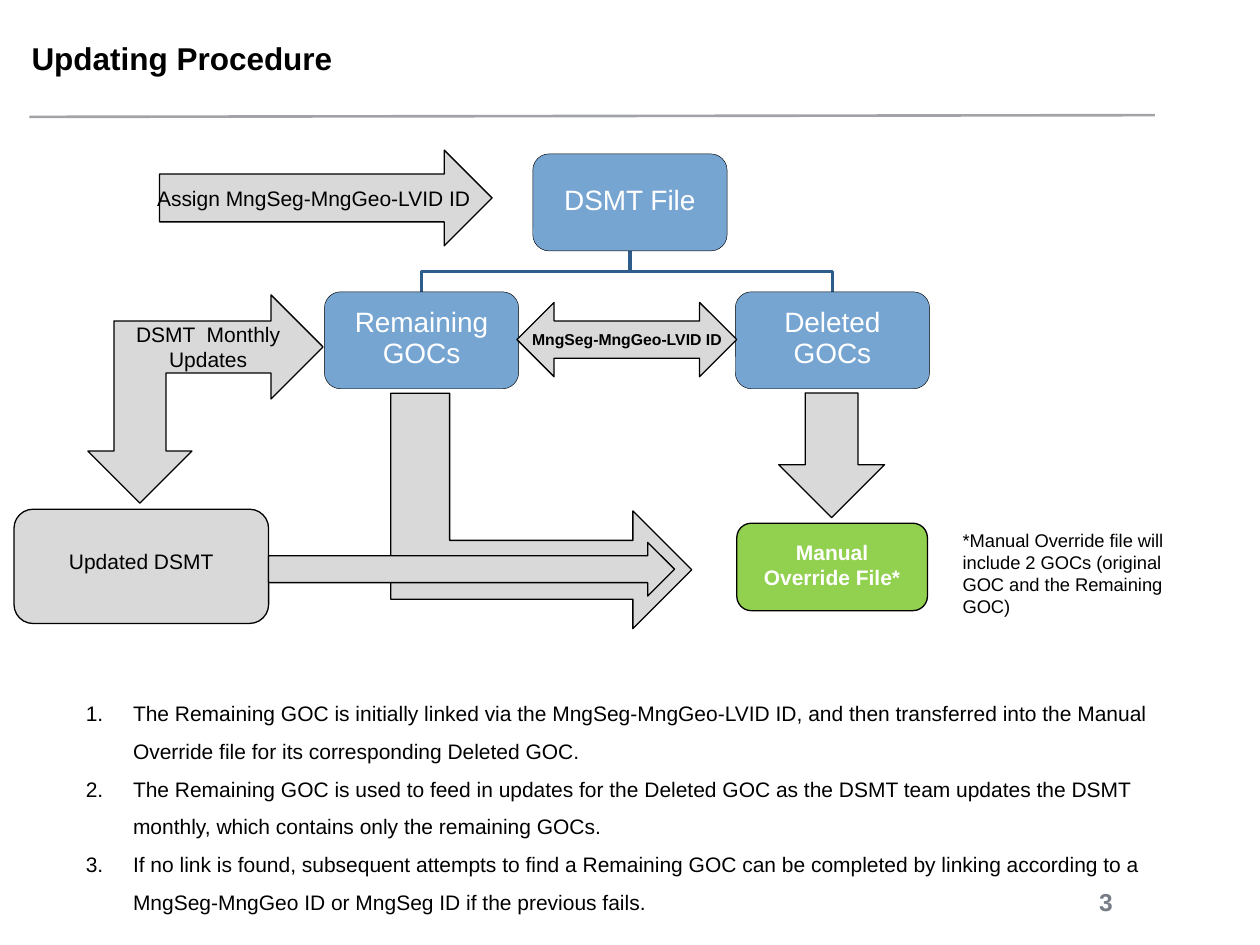
"""Build the Updating Procedure slide: a file flow diagram above three numbered notes."""
from lxml import etree
from pptx import Presentation
from pptx.dml.color import RGBColor
from pptx.enum.shapes import MSO_CONNECTOR, MSO_SHAPE
from pptx.enum.text import MSO_ANCHOR, MSO_AUTO_SIZE, PP_ALIGN
from pptx.oxml.ns import qn
from pptx.util import Pt

BLACK = RGBColor(0x00, 0x00, 0x00)
WHITE = RGBColor(0xFF, 0xFF, 0xFF)
GREY = RGBColor(0xD9, 0xD9, 0xD9)
BLUE = RGBColor(0x76, 0xA5, 0xD2)
GREEN = RGBColor(0x92, 0xD0, 0x50)
BRANCH = RGBColor(0x2E, 0x5C, 0x8B)
RULE = RGBColor(0xA1, 0xA3, 0xA7)
NUMBER = RGBColor(0x76, 0x7D, 0x87)
ROUNDED = MSO_SHAPE.ROUNDED_RECTANGLE
RIGHT_ARROW = MSO_SHAPE.RIGHT_ARROW
LEFT, CENTER, RIGHT = PP_ALIGN.LEFT, PP_ALIGN.CENTER, PP_ALIGN.RIGHT
FONT = "Arial"


def write(box, text, size, color=BLACK, bold=False, align=CENTER):
    frame = box.text_frame
    frame.word_wrap = True
    frame.auto_size = MSO_AUTO_SIZE.NONE
    frame.text = text
    for para in frame.paragraphs:
        para.alignment = align
        para.font.name = FONT
        para.font.size = Pt(size)
        para.font.bold = bold
        para.font.color.rgb = color
    return frame


def draw(kind, left, top, width, height, fill=GREY, weight=0.75):
    shape = page.shapes.add_shape(kind, Pt(left), Pt(top), Pt(width), Pt(height))
    shape.shadow.inherit = False
    shape.fill.solid()
    shape.fill.fore_color.rgb = fill
    shape.line.color.rgb = BLACK
    shape.line.width = Pt(weight)
    return shape


deck = Presentation()
deck.slide_width, deck.slide_height = Pt(720), Pt(540)
page = deck.slides.add_slide(deck.slide_layouts[1])

title = page.shapes.title
title.left, title.top, title.width, title.height = Pt(18), Pt(22.3), Pt(631.5), Pt(21.6)
frame = write(title, "Updating Procedure", 18, bold=True, align=LEFT)
frame.margin_left = frame.margin_right = frame.margin_top = frame.margin_bottom = 0
frame.vertical_anchor = MSO_ANCHOR.BOTTOM

rule = page.shapes.add_connector(MSO_CONNECTOR.STRAIGHT, Pt(16.8), Pt(66.8), Pt(660), Pt(65.8))
rule.line.color.rgb = RULE
rule.line.width = Pt(1.5)
etree.SubElement(rule._element.spPr, qn("a:effectLst"))

NODE_WIDTH, NODE_HEIGHT = 111, 55.4
ROOT_X, ROOT_TOP, CHILD_TOP = 360, 88, 166.8
ROOT_BOTTOM = ROOT_TOP + NODE_HEIGHT
MIDDLE = (ROOT_BOTTOM + CHILD_TOP) / 2
nodes = [
    ("DSMT File", ROOT_X, ROOT_TOP),
    ("Remaining GOCs", 240.9, CHILD_TOP),
    ("Deleted GOCs", 475.7, CHILD_TOP),
]

for name, center, top in nodes[1:]:
    path_points = [(ROOT_X, MIDDLE), (center, MIDDLE), (center, CHILD_TOP)]
    builder = page.shapes.build_freeform(Pt(ROOT_X), Pt(ROOT_BOTTOM))
    builder.add_line_segments([(Pt(x), Pt(y)) for x, y in path_points], close=False)
    branch = builder.convert_to_shape()
    branch.shadow.inherit = False
    branch.fill.background()
    branch.line.color.rgb = BRANCH
    branch.line.width = Pt(2)

for name, center, top in nodes:
    node = draw(ROUNDED, center - NODE_WIDTH / 2, top, NODE_WIDTH, NODE_HEIGHT, BLUE, 0.25)
    frame = write(node, name, 16, WHITE)
    frame.margin_top, frame.margin_bottom = 0, Pt(1.5)
    frame.paragraphs[0].line_spacing = 0.9

link = draw(MSO_SHAPE.LEFT_RIGHT_ARROW, 295.4, 172.8, 125.6, 42.5)
write(link, "MngSeg-MngGeo-LVID ID", 9, bold=True).word_wrap = False

draw(MSO_SHAPE.DOWN_ARROW, 445, 224.6, 60.4, 71.2)

override = draw(ROUNDED, 421, 299, 109, 50, GREEN)
write(override, "Manual Override File*", 12, WHITE, bold=True).margin_bottom = Pt(6)

draw(MSO_SHAPE.BENT_UP_ARROW, 242, 206, 134.6, 172).rotation = 90
draw(MSO_SHAPE.LEFT_UP_ARROW, 50.2, 168.5, 134.4, 119).rotation = 180

updated = draw(ROUNDED, 8, 291, 145.5, 65.3)
write(updated, "Updated DSMT", 12).margin_bottom = Pt(9)

draw(RIGHT_ARROW, 153.5, 309.9, 232, 30.7)

assign = draw(RIGHT_ARROW, 91.2, 85.8, 190, 54.7)
write(assign, "Assign MngSeg-MngGeo-LVID ID", 12).word_wrap = False

labels = [
    ("DSMT  Monthly Updates", 53.5, 180, 131, 36, 12, BLACK, False, CENTER),
    ("*Manual Override file will include 2 GOCs (original GOC and the Remaining GOC)",
     543, 299, 144, 58, 10.5, BLACK, False, LEFT),
    ("3", 603.4, 503.5, 39.6, 24, 14, NUMBER, True, RIGHT),
]
for text, left, top, width, height, size, color, bold, align in labels:
    label = page.shapes.add_textbox(Pt(left), Pt(top), Pt(width), Pt(height))
    write(label, text, size, color, bold, align)

notes = [
    "The Remaining GOC is initially linked via the MngSeg-MngGeo-LVID ID, and then "
    "transferred into the Manual Override file for its corresponding Deleted GOC.",
    "The Remaining GOC is used to feed in updates for the Deleted GOC as the DSMT team "
    "updates the DSMT monthly, which contains only the remaining GOCs.",
    "If no link is found, subsequent attempts to find a Remaining GOC can be completed by "
    "linking according to a MngSeg-MngGeo ID or MngSeg ID if the previous fails.",
]
body = page.placeholders[1]
body.left, body.top, body.width, body.height = Pt(41.8), Pt(389.5), Pt(624.2), Pt(138)
for para in write(body, "\n".join(notes), 12, align=LEFT).paragraphs:
    para.line_spacing = 1.5
    para.space_before = Pt(0)
    properties = para._p.get_or_add_pPr()
    properties.set("marL", str(Pt(27)))
    properties.set("indent", str(-Pt(27)))
    numbering = etree.Element(qn("a:buAutoNum"), type="arabicPeriod")
    properties.find(qn("a:defRPr")).addprevious(numbering)

deck.save("out.pptx")
